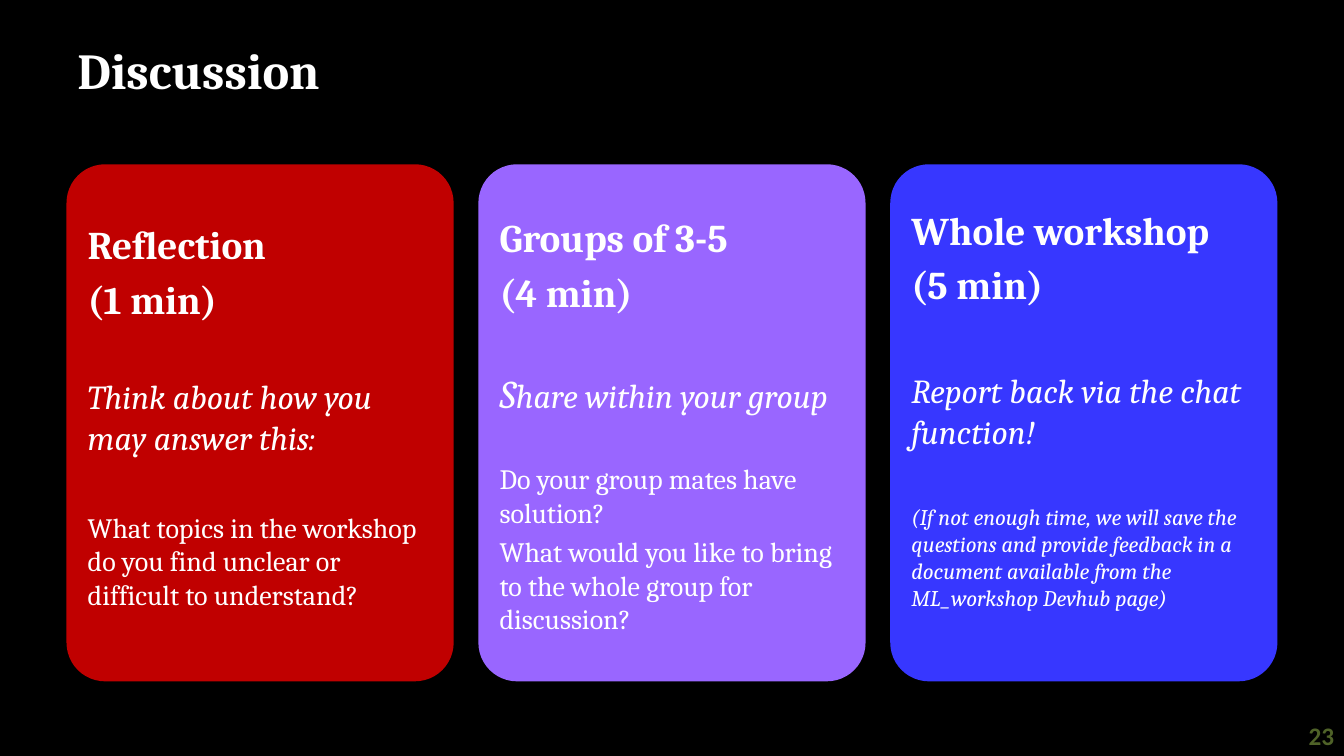
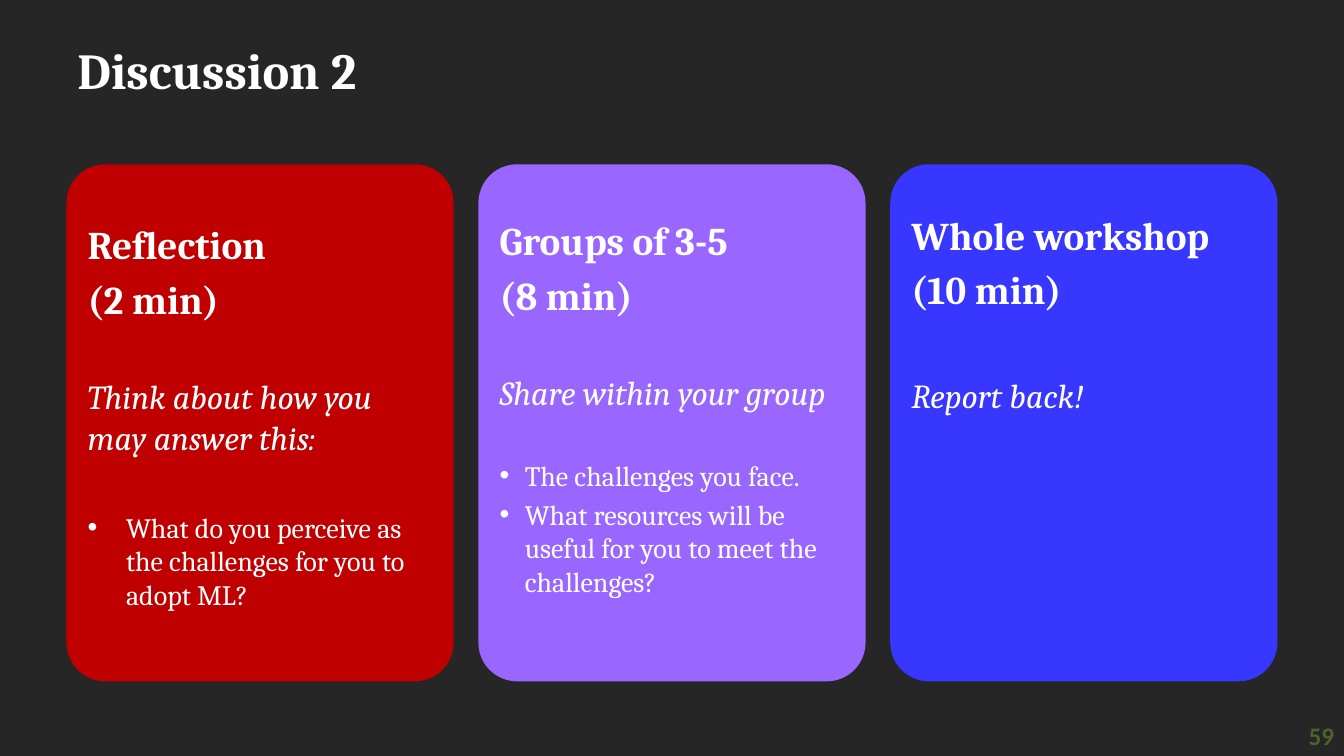
"""Build two discussion slides, each with three timed cards."""
from dataclasses import dataclass

from lxml import etree
from pptx import Presentation
from pptx.dml.color import RGBColor
from pptx.enum.shapes import MSO_SHAPE
from pptx.enum.text import MSO_ANCHOR, PP_ALIGN
from pptx.oxml.ns import qn
from pptx.util import Inches, Pt

ROUND = MSO_SHAPE.ROUNDED_RECTANGLE
TOP, MIDDLE = MSO_ANCHOR.TOP, MSO_ANCHOR.MIDDLE
LEFT, RIGHT = PP_ALIGN.LEFT, PP_ALIGN.RIGHT


@dataclass(frozen=True)
class Theme:
    """Colours, fonts and type sizes."""
    serif: str = "Cambria"
    sans: str = "Calibri"
    white: str = "FFFFFF"
    green: str = "4F6228"
    cards: tuple = ("C00000", "9966FF", "3737FF")
    title: int = 36
    number: int = 18
    head: int = 28
    lead: int = 24
    body: int = 20
    note: int = 16


THEME = Theme()
WIDE, HIGH = 13.33, 7.5
CARD = {"left": 0.66, "top": 1.63, "width": 3.84, "height": 5.13, "step": 4.085}
ROUNDING = 0.1
SPACE = 0.2
BLANK = 1.42

STYLES = {
    "head": (THEME.head, True, False),
    "lead": (THEME.lead, False, True),
    "body": (THEME.body, False, False),
    "note": (THEME.note, False, True),
}

# Each card: top inset, then rows of (style, text, size of gap above, bullet indent).
SLIDES = [
    {
        "title": "Discussion", "number": "23", "back": "000000",
        "cards": [
            (0.44, [
                ("head", "Reflection", 0, 0),
                ("head", "(1 min)", 0, 0),
                ("lead", "Think about how you may answer this:", 24, 0),
                ("body", "What topics in the workshop do you find unclear or "
                         "difficult to understand?", 24, 0),
            ]),
            (0.37, [
                ("head", "Groups of 3-5", 0, 0),
                ("head", "(4 min)", 0, 0),
                ("lead", ("S", "hare within your group"), 24, 0),
                ("body", "Do your group mates have solution?", 20, 0),
                ("body", "What would you like to bring to the whole group for "
                         "discussion?", 0, 0),
            ]),
            (0.3, [
                ("head", "Whole workshop", 0, 0),
                ("head", "(5 min)", 0, 0),
                ("lead", "Report back via the chat function!", 28, 0),
                ("note", "(If not enough time, we will save the questions and "
                         "provide feedback in a document available from the "
                         "ML_workshop Devhub page)", 24, 0),
            ]),
        ],
    },
    {
        "title": "Discussion 2", "number": "59", "back": "262626",
        "cards": [
            (0.44, [
                ("head", "Reflection", 0, 0),
                ("head", "(2 min)", 0, 0),
                ("lead", "Think about how you may answer this:", 24, 0),
                ("body", "What do you perceive as the challenges for you to "
                         "adopt ML?", 24, 0.38),
            ]),
            (0.4, [
                ("head", "Groups of 3-5", 0, 0),
                ("head", "(8 min)", 0, 0),
                ("lead", "Share within your group", 24, 0),
                ("body", "The challenges you face.", 20, 0.25),
                ("body", "What resources will be useful for you to meet the "
                         "challenges?", 0, 0.25),
            ]),
            (0.35, [
                ("head", "Whole workshop", 0, 0),
                ("head", "(10 min)", 0, 0),
                ("lead", "Report back!", 28, 0),
            ]),
        ],
    },
]


def paint(fill, color):
    """Fill with one solid colour."""
    fill.solid()
    fill.fore_color.rgb = RGBColor.from_string(color)


def style(para, size, bold, slant=False, face=THEME.serif, color=THEME.white):
    """Set the font of a whole paragraph."""
    font = para.font
    font.name, font.size, font.bold, font.italic = face, Pt(size), bold, slant
    font.color.rgb = RGBColor.from_string(color)


def bullet(para, indent):
    """Give a paragraph a hanging round bullet."""
    props = para._p.get_or_add_pPr()
    props.set("marL", str(Inches(indent)))
    props.set("indent", str(-Inches(indent)))
    etree.SubElement(props, qn("a:buFont")).set("typeface", "Arial")
    etree.SubElement(props, qn("a:buChar")).set("char", "•")


def label(slide, box, text, align, **font):
    """Add a one-line text box centred on its height."""
    frame = slide.shapes.add_textbox(*map(Inches, box)).text_frame
    frame.word_wrap, frame.vertical_anchor = True, MIDDLE
    para = frame.paragraphs[0]
    para.text, para.alignment = text, align
    style(para, bold=True, **font)


def add_card(slide, col, color, inset, rows):
    """Add one rounded card with its text."""
    left = CARD["left"] + col * CARD["step"]
    box = left, CARD["top"], CARD["width"], CARD["height"]
    shape = slide.shapes.add_shape(ROUND, *map(Inches, box))
    shape.adjustments[0] = ROUNDING
    shape.shadow.inherit = False
    paint(shape.fill, color)
    shape.line.fill.background()
    frame = shape.text_frame
    frame.word_wrap, frame.vertical_anchor = True, TOP
    frame.margin_top = Inches(inset)
    for row, (kind, text, gap, indent) in enumerate(rows):
        para = frame.add_paragraph() if row else frame.paragraphs[0]
        size, bold, slant = STYLES[kind]
        para.alignment = LEFT
        if row:
            para.space_before = Pt(round(SPACE * size + BLANK * gap, 1))
        if indent:
            bullet(para, indent)
        style(para, size, bold, slant)
        parts = (text,) if isinstance(text, str) else text
        for part in parts:
            para.add_run().text = part
        if len(parts) > 1:
            para.runs[0].font.size = Pt(THEME.head)


def main():
    """Build and save the deck."""
    deck = Presentation()
    deck.slide_width, deck.slide_height = Inches(WIDE), Inches(HIGH)
    for data in SLIDES:
        slide = deck.slides.add_slide(deck.slide_layouts[6])
        paint(slide.background.fill, data["back"])
        label(slide, (0.67, 0.3, 12, 0.78), data["title"], LEFT, size=THEME.title)
        label(slide, (WIDE - 0.67, HIGH - 0.4, 0.67, 0.4), data["number"], RIGHT,
              size=THEME.number, face=THEME.sans, color=THEME.green)
        for col, (inset, rows) in enumerate(data["cards"]):
            add_card(slide, col, THEME.cards[col], inset, rows)
    deck.save("out.pptx")


if __name__ == "__main__":
    main()
